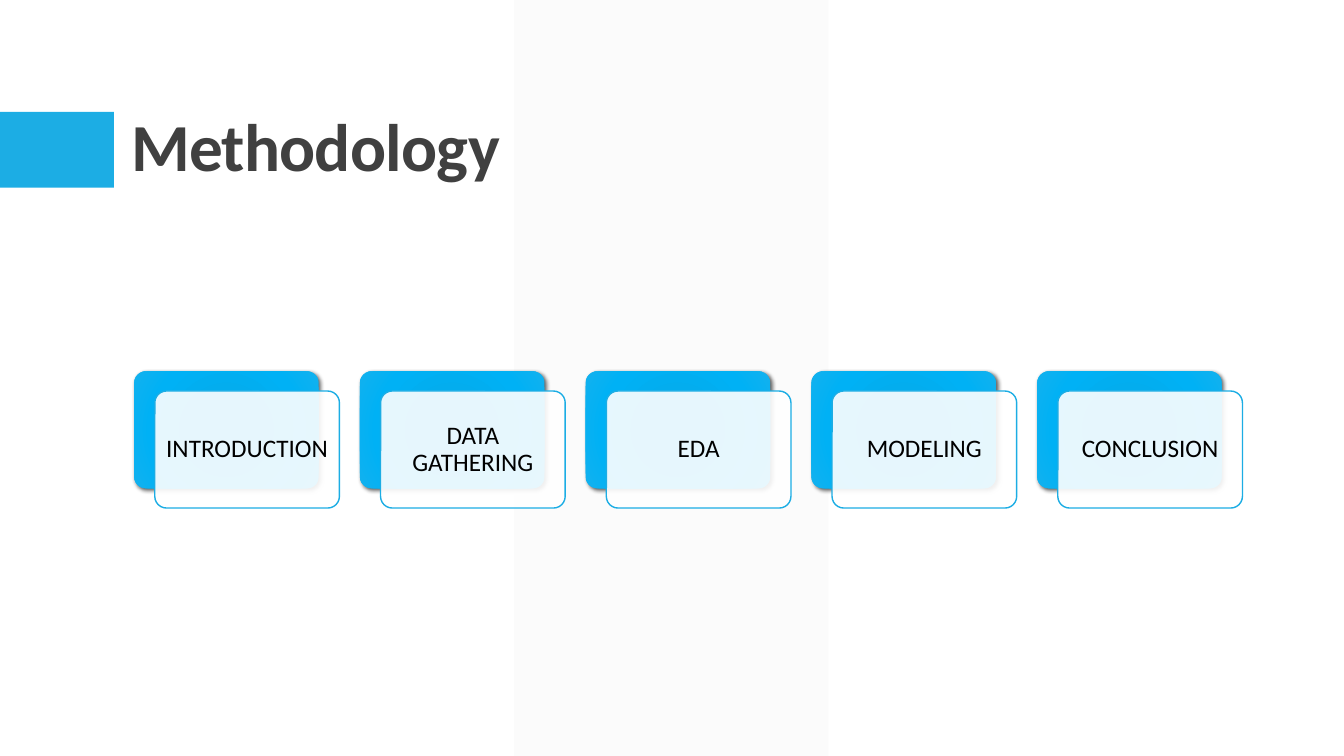
from pptx import Presentation
from pptx.dml.color import RGBColor
from pptx.enum.shapes import MSO_SHAPE
from pptx.enum.text import MSO_ANCHOR, MSO_AUTO_SIZE, PP_ALIGN
from pptx.oxml import parse_xml
from pptx.oxml.ns import nsdecls, qn
from pptx.util import Pt

RECTANGLE, ROUNDED = MSO_SHAPE.RECTANGLE, MSO_SHAPE.ROUNDED_RECTANGLE
LEFT, CENTER = PP_ALIGN.LEFT, PP_ALIGN.CENTER
BOTTOM, MIDDLE = MSO_ANCHOR.BOTTOM, MSO_ANCHOR.MIDDLE
NO_AUTOFIT = MSO_AUTO_SIZE.NONE
TITLE_ONLY = 5

FONT = "Calibri"
ACCENT = "1CADE4"
CARD_GRADIENT = [(0, "00ADEF"), (34, "03ADEE"), (70, "00B1F5"), (100, "12B1EE")]
STEPS = ["INTRODUCTION", "DATA GATHERING", "EDA", "MODELING", "CONCLUSION"]


def color(hex_value):
    return RGBColor.from_string(hex_value)


def add_block(shapes, kind, box, fill, opacity=100):
    """Add a filled shape without line or shadow."""
    shape = shapes.add_shape(kind, *[Pt(length) for length in box])
    shape.shadow.inherit = False
    shape.line.fill.background()
    shape.fill.solid()
    shape.fill.fore_color.rgb = color(fill)
    if opacity < 100:
        srgb = shape.element.spPr.find(qn("a:solidFill"))[0]
        srgb.append(parse_xml(f'<a:alpha {nsdecls("a")} val="{opacity * 1000}"/>'))
    return shape


def write_text(shape, text, size, hex_value, alignment, anchor, bold=False):
    frame = shape.text_frame
    frame.text = text
    frame.word_wrap = True
    frame.auto_size = NO_AUTOFIT
    frame.vertical_anchor = anchor
    paragraph = frame.paragraphs[0]
    paragraph.alignment = alignment
    paragraph.line_spacing = 0.9
    font = paragraph.font
    font.name, font.size, font.bold = FONT, Pt(size), bold
    font.color.rgb = color(hex_value)
    return frame


def add_radial_gradient(shape, stops):
    stop_xml = "".join(
        f'<a:gs pos="{position * 1000}"><a:srgbClr val="{value}"/></a:gs>'
        for position, value in stops)
    properties = shape.element.spPr
    properties.replace(properties.find(qn("a:solidFill")), parse_xml(
        f'<a:gradFill {nsdecls("a")} rotWithShape="1"><a:gsLst>{stop_xml}</a:gsLst>'
        '<a:path path="circle"><a:fillToRect l="100000" t="100000" '
        'r="100000" b="100000"/></a:path></a:gradFill>'))


def add_shadow(shape, blur, distance, angle, opacity):
    shape.element.spPr.find(qn("a:effectLst")).append(parse_xml(
        f'<a:outerShdw {nsdecls("a")} blurRad="{Pt(blur)}" dist="{Pt(distance)}" '
        f'dir="{angle * 60000}" algn="ctr" rotWithShape="0"><a:srgbClr val="000000">'
        f'<a:alpha val="{opacity * 1000}"/></a:srgbClr></a:outerShdw>'))


def build_backdrop(slide, box):
    """Pale vertical band and accent tab at the left edge."""
    left, top, width, height = box
    add_block(slide.shapes, RECTANGLE, (left + 367.2, top, 224.6, height), "F2F2F2", 30)
    add_block(slide.shapes, RECTANGLE, (left, top + 80, 81.4, 54), ACCENT)


def build_title(slide, box, text):
    title = slide.shapes.title
    title.left, title.top, title.width, title.height = [Pt(length) for length in box]
    frame = write_text(title, text, 48, "404040", LEFT, BOTTOM, bold=True)
    frame.paragraphs[0].runs[0].font._element.set("spc", "-50")
    # Bring the title in front of the backdrop
    title.element.getparent().append(title.element)


def build_card(shapes, box, label):
    """Blue card with a translucent labelled card shifted over it."""
    left, top, width, height = box
    shift_x, shift_y = 14.8, 14.1
    card_size = (width - shift_x, height - shift_y)

    back = add_block(shapes, ROUNDED, (left, top, *card_size), ACCENT)
    add_radial_gradient(back, CARD_GRADIENT)
    add_shadow(back, blur=3, distance=2, angle=45, opacity=60)

    front = add_block(shapes, ROUNDED, (left + shift_x, top + shift_y, *card_size),
                      "FFFFFF", 90)
    front.line.color.rgb = color(ACCENT)
    front.line.width = Pt(1)
    frame = write_text(front, label, 18, "000000", CENTER, MIDDLE)
    frame.margin_left = frame.margin_right = Pt(4.5)
    for card in (back, front):
        card.adjustments[0] = 0.1


def build_steps(slide, box, labels):
    """Row of equal cards with equal gaps."""
    left, top, width, height = box
    gap = 14.6
    card_width = (width - gap * (len(labels) - 1)) / len(labels)
    group = slide.shapes.add_group_shape()
    for index, label in enumerate(labels):
        card_left = left + index * (card_width + gap)
        build_card(group.shapes, (card_left, top, card_width, height), label)


presentation = Presentation()
presentation.slide_width, presentation.slide_height = Pt(960), Pt(540)
slide = presentation.slides.add_slide(presentation.slide_layouts[TITLE_ONLY])

build_backdrop(slide, (0, 0, 960, 540))
build_title(slide, (86.4, 22.3, 792, 114.5), "Methodology")
build_steps(slide, (95.8, 265.2, 791.7, 97.7), STEPS)

presentation.save("out.pptx")
